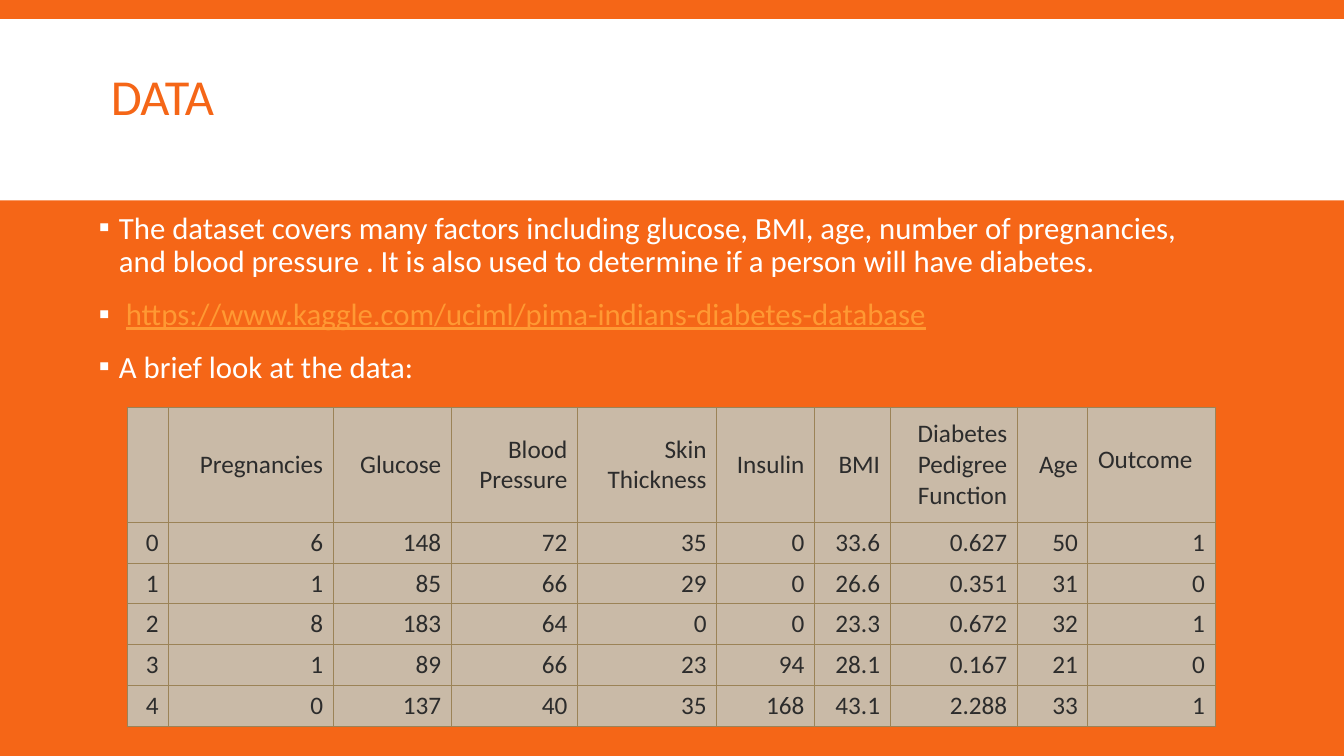
from lxml.etree import SubElement
from pptx import Presentation
from pptx.dml.color import RGBColor
from pptx.enum.shapes import MSO_SHAPE
from pptx.enum.text import MSO_ANCHOR, MSO_AUTO_SIZE, PP_ALIGN
from pptx.oxml import parse_xml
from pptx.oxml.ns import nsdecls, qn
from pptx.util import Inches, Pt

HUES = {"orange": "F56617", "white": "FFFFFF", "link": "FF9933",
        "ink": "2C2C2C", "tan": "C9BAA7", "edge": "9B8357"}

POINTS = [
    [("The dataset covers many factors including glucose, BMI, age, number of "
      "pregnancies, and blood pressure . It is also used to determine if a "
      "person will have diabetes.", "white")],
    [(" ", "white"),
     ("https://www.kaggle.com/uciml/pima-indians-diabetes-database", "link")],
    [("A brief look at the data:", "white")],
]

HEAD = ["", "Pregnancies", "Glucose", "Blood\nPressure", "Skin\nThickness",
        "Insulin", "BMI", "Diabetes Pedigree Function", "Age", "Outcome"]
DATA = [
    [0, 6, 148, 72, 35, 0, 33.6, 0.627, 50, 1],
    [1, 1, 85, 66, 29, 0, 26.6, 0.351, 31, 0],
    [2, 8, 183, 64, 0, 0, 23.3, 0.672, 32, 1],
    [3, 1, 89, 66, 23, 94, 28.1, 0.167, 21, 0],
    [4, 0, 137, 40, 35, 168, 43.1, 2.288, 33, 1],
]
WIDTHS = [0.41, 1.63, 1.17, 1.25, 1.38, 0.97, 0.75, 1.26, 0.7, 1.26]
HEIGHTS = [1.13] + [0.4] * len(DATA)


def color(name):
    return RGBColor.from_string(HUES[name])


def assign(target, values):
    for key, value in values.items():
        setattr(target, key, value)


class Page:
    """Style and current slide; boxes are percent of the slide's size."""

    face = "Calibri"

    def __init__(self, deck):
        self.deck = deck
        self.slide = deck.slides.add_slide(deck.slide_layouts[1])
        fill = self.slide.background.fill
        fill.solid()
        fill.fore_color.rgb = color("orange")

    def box(self, left, top, width, height):
        wide, high = self.deck.slide_width, self.deck.slide_height
        parts = ((left, wide), (top, high), (width, wide), (height, high))
        return [round(share * size / 100) for share, size in parts]

    def place(self, shape, area):
        assign(shape, dict(zip(("left", "top", "width", "height"), self.box(*area))))

    def style(self, font, size, hue, **more):
        assign(font, {"name": self.face, "size": Pt(size), **more})
        font.color.rgb = color(hue)

    def band(self, area):
        shape = self.slide.shapes.add_shape(MSO_SHAPE.RECTANGLE, *self.box(*area))
        shape.shadow.inherit = False
        shape.fill.solid()
        shape.fill.fore_color.rgb = color("white")
        shape.line.fill.background()
        # Behind the placeholders
        self.slide.shapes._spTree.insert(2, shape._element)

    def title(self, text, area):
        shape = self.slide.shapes.title
        self.place(shape, area)
        frame = shape.text_frame
        assign(frame, {"text": text, "word_wrap": True,
                       "auto_size": MSO_AUTO_SIZE.NONE,
                       "vertical_anchor": MSO_ANCHOR.MIDDLE})
        para = frame.paragraphs[0]
        assign(para, {"alignment": PP_ALIGN.LEFT, "line_spacing": 0.85})
        run = para.runs[0]
        self.style(run.font, 36, "orange")
        run._r.get_or_add_rPr().set("spc", "-50")

    def bullet(self, para):
        props = para._p.get_or_add_pPr()
        indent = Inches(0.2)
        props.set("marL", str(indent))
        props.set("indent", str(-indent))
        tint = SubElement(props, qn("a:buClr"))
        SubElement(tint, qn("a:srgbClr"), val=HUES["white"])
        SubElement(props, qn("a:buFont"), typeface=self.face)
        SubElement(props, qn("a:buChar"), char="▪")

    def points(self, items, area):
        shape = self.slide.placeholders[1]
        self.place(shape, area)
        frame = shape.text_frame
        assign(frame, {"word_wrap": True, "auto_size": MSO_AUTO_SIZE.NONE,
                       "vertical_anchor": MSO_ANCHOR.TOP})
        for row, parts in enumerate(items):
            para = frame.add_paragraph() if row else frame.paragraphs[0]
            assign(para, {"line_spacing": 0.9, "space_after": Pt(2),
                          "space_before": Pt(12 if row else 0)})
            self.bullet(para)
            for text, hue in parts:
                run = para.add_run()
                run.text = text
                self.style(run.font, 22, hue, underline=hue == "link")

    def edges(self, cell):
        props = cell._tc.get_or_add_tcPr()
        for spot, side in enumerate(("lnL", "lnR", "lnT", "lnB")):
            props.insert(spot, parse_xml(
                f'<a:{side} {nsdecls("a")} w="{Pt(0.75)}"><a:solidFill>'
                f'<a:srgbClr val="{HUES["edge"]}"/></a:solidFill></a:{side}>'))

    def cell(self, cell, text, align=PP_ALIGN.RIGHT):
        cell.fill.solid()
        cell.fill.fore_color.rgb = color("tan")
        self.edges(cell)
        assign(cell, {"text": text, "vertical_anchor": MSO_ANCHOR.MIDDLE})
        for para in cell.text_frame.paragraphs:
            para.alignment = align
            self.style(para.font, 18, "ink")
            for run in para.runs:
                self.style(run.font, 18, "ink")

    def table(self, rows, widths, heights, area):
        left, top, width, height = self.box(*area)
        grid = self.slide.shapes.add_table(
            len(rows), len(widths), left, top, width, height).table
        assign(grid, {"first_row": False, "horz_banding": False})
        for col, part in zip(grid.columns, widths):
            col.width = round(width * part / sum(widths))
        for row, part in zip(grid.rows, heights):
            row.height = round(height * part / sum(heights))
        for r, row in enumerate(rows):
            for c, value in enumerate(row):
                self.cell(grid.cell(r, c), str(value))
        return grid


def main():
    deck = Presentation()
    assign(deck, {"slide_width": Inches(13.33), "slide_height": Inches(7.5)})
    page = Page(deck)
    page.band((0, 2.53, 100, 24))
    page.title("DATA", (7.5, 8.93, 84.92, 8.67))
    page.points(POINTS, (6.6, 27.47, 84.92, 32.4))
    grid = page.table([HEAD] + DATA, WIDTHS, HEIGHTS, (9.48, 53.95, 80.94, 41.87))
    last = grid.cell(0, len(HEAD) - 1)
    assign(last, {"vertical_anchor": MSO_ANCHOR.TOP, "margin_top": Inches(0.36)})
    last.text_frame.paragraphs[0].alignment = PP_ALIGN.LEFT
    deck.save("out.pptx")


if __name__ == "__main__":
    main()
